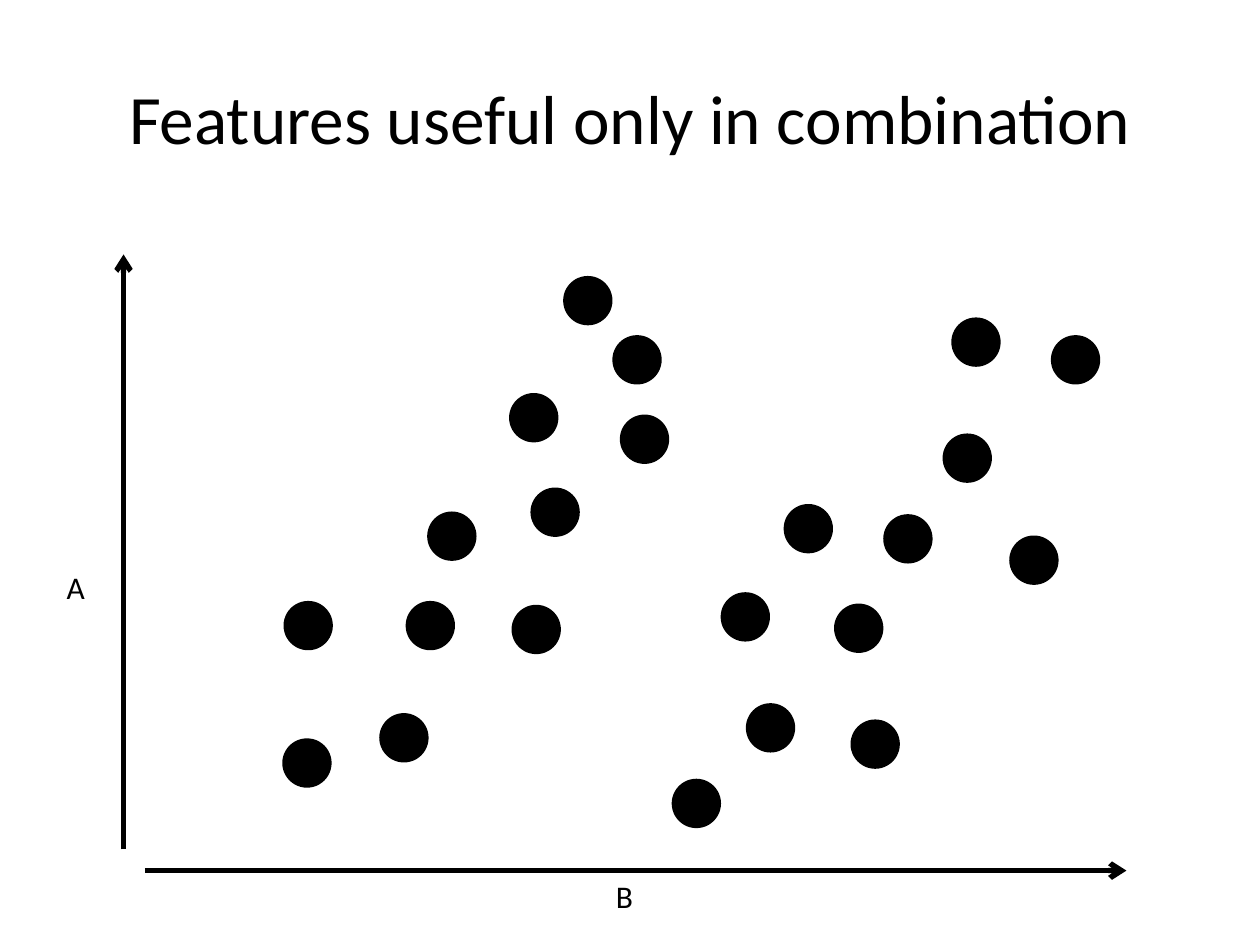
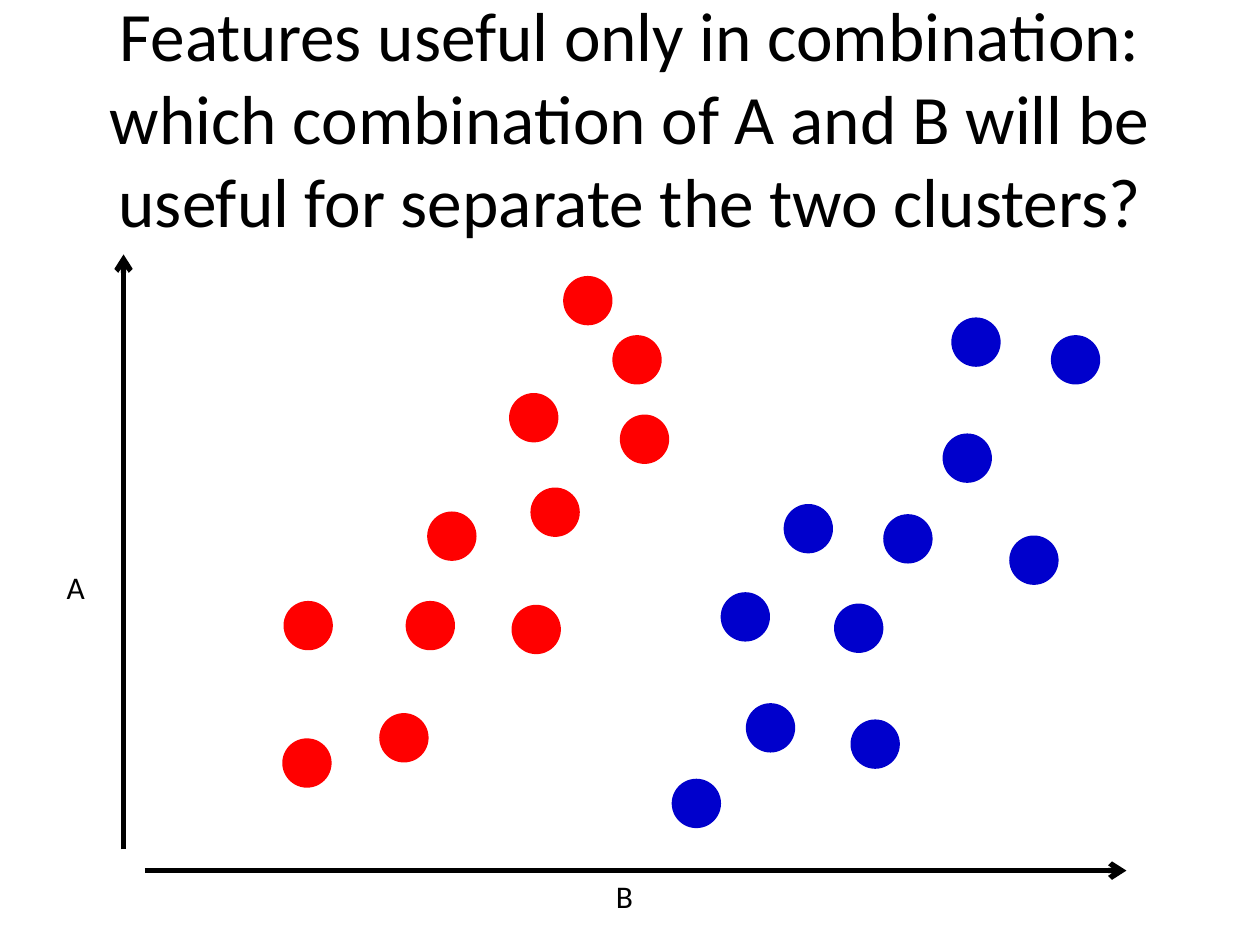
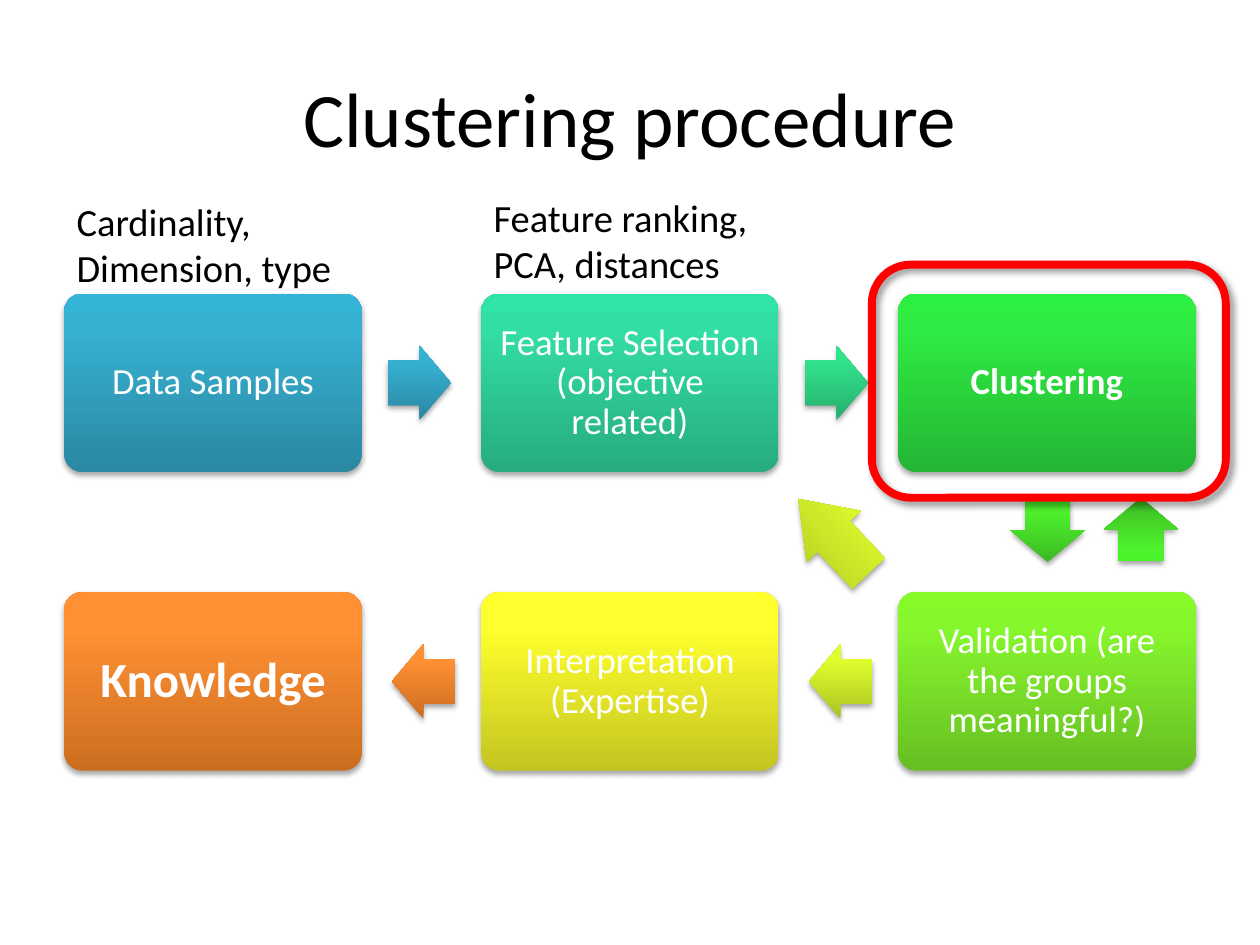
from copy import deepcopy

from lxml import etree
from pptx import Presentation
from pptx.dml.color import RGBColor
from pptx.enum.shapes import MSO_CONNECTOR, MSO_SHAPE
from pptx.enum.text import MSO_ANCHOR, MSO_AUTO_SIZE, PP_ALIGN
from pptx.oxml.ns import qn
from pptx.util import Pt

OVAL, ROUNDED = MSO_SHAPE.OVAL, MSO_SHAPE.ROUNDED_RECTANGLE
RIGHT, LEFT, DOWN = MSO_SHAPE.RIGHT_ARROW, MSO_SHAPE.LEFT_ARROW, MSO_SHAPE.DOWN_ARROW
STRAIGHT = MSO_CONNECTOR.STRAIGHT
MIDDLE, CENTER = MSO_ANCHOR.MIDDLE, PP_ALIGN.CENTER
NO_FIT, GROW = MSO_AUTO_SIZE.NONE, MSO_AUTO_SIZE.SHAPE_TO_FIT_TEXT

FONT = "Calibri"
COLORS = {"black": "000000", "white": "FFFFFF", "red": "FF0000", "blue": "0000CC"}

# Gradients from bottom to top
STOPS = (0, 0.8, 1)
GRADIENTS = {
    "sky": ("2A88A2", "37B1D2", "34B4D6"),
    "mint": ("27AB7F", "33DEA4", "30E3A6"),
    "jade": ("26AE6D", "31E28D", "2EE68E"),
    "green": ("24B534", "2FEB43", "2CF041"),
    "leaf": ("3CB923", "4EF12D", "4CF52A"),
    "lime": ("67BE22", "86F62D", "86FB29"),
    "citron": ("ACC322", "E0FD2C", "E2FF2B"),
    "yellow": ("C4C521", "FEFF2C", "FEFF2E"),
    "orange": ("CC6E20", "FF9034", "FF9136"),
}

# Shadows: opacity %, blur, distance, direction in degrees
SOFT_SHADOW = (35, 3.1, 1.8, 90)
FRAME_SHADOW = (40, 4, 3, 45)

# Scatter slides: title, colour of the left cluster, colour of the right cluster
SCATTERS = [
    ("Features useful only in combination", "black", "black"),
    ("Features useful only in combination:\vwhich combination of A and B will be "
     "useful for separate the two clusters?", "red", "blue"),
]
DOT_SIZE = 28.2
LEFT_CLUSTER = [
    (216.7, 407.5), (161.3, 421.9), (162, 343.4), (231.8, 343.4), (292.3, 345.6),
    (244.1, 292.3), (303.1, 278.6), (290.9, 224.6), (354.2, 236.9), (349.9, 191.5),
    (321.8, 157.7),
]
RIGHT_CLUSTER = [
    (486, 411.1), (383.8, 445), (411.8, 338.4), (426.2, 401.8), (504.7, 293.8),
    (447.8, 288), (476.6, 344.9), (538.6, 247.7), (576.7, 306), (600.5, 191.5),
    (543.6, 181.4),
]
AXES = [(70.6, 485.3, 70.6, 145.4), (82.8, 497.5, 643.7, 497.5)]
AXIS_LABELS = [("A", 31, 321.1), ("B", 344.9, 497.5)]

# Procedure slide: text, column, row, gradient, size, bold
PROCEDURE_TITLE = "Clustering procedure"
STEPS = [
    ("Data Samples", 0, 0, "sky", 21, False),
    ("Feature Selection (objective related)", 1, 0, "mint", 21, False),
    ("Clustering", 2, 0, "green", 21, True),
    ("Validation (are the groups meaningful?)", 2, 1, "lime", 21, False),
    ("Interpretation (Expertise)", 1, 1, "yellow", 21, False),
    ("Knowledge", 0, 1, "orange", 28, True),
]
STEP_WIDTH, STEP_HEIGHT = 170, 102
COLUMNS = [36.7 + 238.3 * column for column in range(3)]
ROWS = [167.8, 338.4]
ARROW_LENGTH, ARROW_BREADTH = 36, 42.5
# Arrows in the gaps of a row: direction, column before the gap, row, gradient
ROW_ARROWS = [
    (RIGHT, 0, 0, "sky"), (RIGHT, 1, 0, "jade"),
    (LEFT, 1, 1, "citron"), (LEFT, 0, 1, "orange"),
]
GAP_OFFSETS = {RIGHT: 185, LEFT: 187.2}
# Arrows between the rows: direction, box, rotation, head, gradient
CROSS_ARROWS = [
    (DOWN, (577.4, 285.1, ARROW_BREADTH, ARROW_LENGTH), 0, 0.5, "leaf"),
    (DOWN, (630.7, 284.4, ARROW_BREADTH, ARROW_LENGTH), 180, 0.5, "leaf"),
    (LEFT, (447.1, 285.1, 58.3, ARROW_BREADTH), 46.7, 0.69, "citron"),
]
CAPTIONS = [
    (["Cardinality, Dimension, type"], 0, 109.4),
    (["Feature ranking,", "PCA, distances"], 1, 107.3),
]
FRAME = (498.2, 151.2, 202.3, 133.2)


def rgb(name):
    return RGBColor.from_string(COLORS[name])


def points(values):
    return [Pt(value) for value in values]


def set_font(paragraph, size, color="black", bold=False):
    font = paragraph.font
    font.name, font.size, font.bold = FONT, Pt(size), bold
    font.color.rgb = rgb(color)


def add_titled_slide(presentation, text, size):
    slide = presentation.slides.add_slide(presentation.slide_layouts[5])
    title = slide.shapes.title
    title.left, title.top, title.width, title.height = points((36, 21.6, 648, 90))
    frame = title.text_frame
    frame.text = text
    frame.word_wrap, frame.auto_size, frame.vertical_anchor = True, NO_FIT, MIDDLE
    frame.paragraphs[0].alignment = CENTER
    set_font(frame.paragraphs[0], size)
    return slide


def add_plain_shape(slide, kind, box):
    shape = slide.shapes.add_shape(kind, *points(box))
    shape.shadow.inherit = False
    shape.line.fill.background()
    return shape


def add_shadow(shape, opacity, blur, distance, direction):
    effects = shape._element.spPr.find(qn("a:effectLst"))
    shadow = etree.SubElement(
        effects, qn("a:outerShdw"), blurRad=str(Pt(blur)), dist=str(Pt(distance)),
        dir=str(direction * 60000), rotWithShape="0")
    color = etree.SubElement(shadow, qn("a:srgbClr"), val=COLORS["black"])
    etree.SubElement(color, qn("a:alpha"), val=str(opacity * 1000))


def add_gradient_shape(slide, kind, box, gradient):
    shape = add_plain_shape(slide, kind, box)
    shape.fill.gradient()
    shape.fill.gradient_angle = 90
    stop_list = shape._element.spPr.find(qn("a:gradFill")).find(qn("a:gsLst"))
    stop_list.append(deepcopy(stop_list[-1]))
    for stop, position, color in zip(shape.fill.gradient_stops, STOPS, GRADIENTS[gradient]):
        stop.position = position
        stop.color.rgb = RGBColor.from_string(color)
    add_shadow(shape, *SOFT_SHADOW)
    return shape


def add_block_arrow(slide, kind, box, gradient, head=0.5):
    arrow = add_gradient_shape(slide, kind, box, gradient)
    arrow.adjustments[0], arrow.adjustments[1] = 0.6, head
    return arrow


def add_text(slide, lines, box, size, wrap):
    frame = slide.shapes.add_textbox(*points(box)).text_frame
    frame.text = "\n".join(lines)
    frame.word_wrap, frame.auto_size = wrap, GROW
    for paragraph in frame.paragraphs:
        set_font(paragraph, size)


def add_axis(slide, ends):
    axis = slide.shapes.add_connector(STRAIGHT, *points(ends))
    axis.line.color.rgb = rgb("black")
    axis.line.width = Pt(3)
    etree.SubElement(axis.line._get_or_add_ln(), qn("a:tailEnd"), type="arrow")
    etree.SubElement(axis._element.spPr, qn("a:effectLst"))


def build_scatter(presentation, title, left_color, right_color):
    slide = add_titled_slide(presentation, title, 39.6)
    for cluster, color in ((LEFT_CLUSTER, left_color), (RIGHT_CLUSTER, right_color)):
        for left, top in cluster:
            dot = add_plain_shape(slide, OVAL, (left, top, DOT_SIZE, DOT_SIZE))
            dot.fill.solid()
            dot.fill.fore_color.rgb = rgb(color)
    for ends in AXES:
        add_axis(slide, ends)
    for label, left, top in AXIS_LABELS:
        add_text(slide, [label], (left, top, 25, 29), 18, False)


def add_step(slide, text, column, row, gradient, size, bold):
    box = (COLUMNS[column], ROWS[row], STEP_WIDTH, STEP_HEIGHT)
    step = add_gradient_shape(slide, ROUNDED, box, gradient)
    step.adjustments[0] = 0.1
    frame = step.text_frame
    frame.text = text
    frame.word_wrap, frame.vertical_anchor = True, MIDDLE
    frame.margin_left = frame.margin_right = Pt(6)
    frame.margin_top = frame.margin_bottom = Pt(6)
    paragraph = frame.paragraphs[0]
    paragraph.alignment, paragraph.line_spacing = CENTER, 0.9
    set_font(paragraph, size, "white", bold)


def build_procedure(presentation):
    slide = add_titled_slide(presentation, PROCEDURE_TITLE, 44)
    for step in STEPS:
        add_step(slide, *step)

    # Arrows
    for kind, column, row, gradient in ROW_ARROWS:
        left = COLUMNS[column] + GAP_OFFSETS[kind]
        top = ROWS[row] + (STEP_HEIGHT - ARROW_BREADTH) / 2
        add_block_arrow(slide, kind, (left, top, ARROW_LENGTH, ARROW_BREADTH), gradient)
    for kind, box, rotation, head, gradient in CROSS_ARROWS:
        add_block_arrow(slide, kind, box, gradient, head).rotation = rotation

    # Captions and highlight frame
    for lines, column, top in CAPTIONS:
        add_text(slide, lines, (COLUMNS[column], top, STEP_WIDTH, 60.5), 22, True)
    frame = add_plain_shape(slide, ROUNDED, FRAME)
    frame.fill.background()
    frame.line.color.rgb = rgb("red")
    frame.line.width = Pt(4.5)
    add_shadow(frame, *FRAME_SHADOW)


def main():
    presentation = Presentation()
    presentation.slide_width, presentation.slide_height = Pt(720), Pt(540)
    for scatter in SCATTERS:
        build_scatter(presentation, *scatter)
    build_procedure(presentation)
    presentation.save("out.pptx")


if __name__ == "__main__":
    main()
